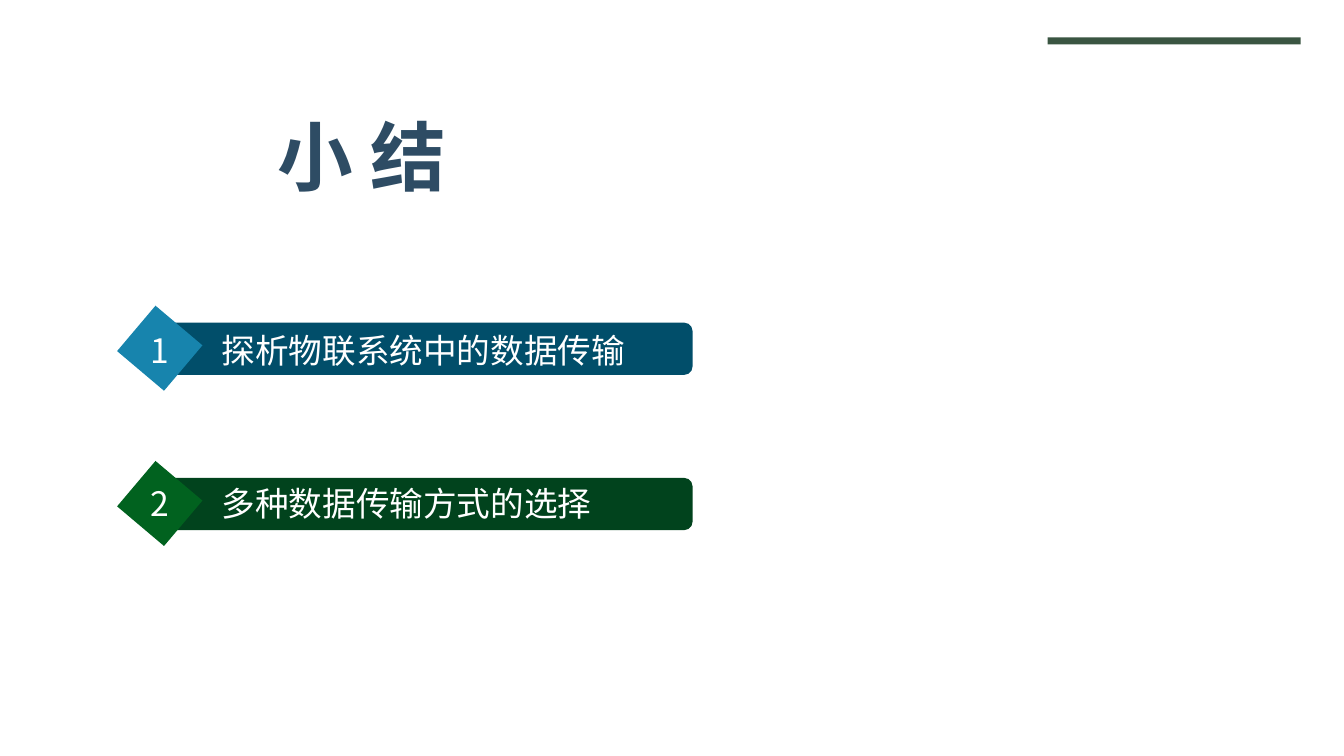
from lxml import etree
from pptx import Presentation
from pptx import util as u
from pptx.dml.color import RGBColor
from pptx.enum import shapes, text
from pptx.oxml.ns import qn

WIDTH, HEIGHT = 13.33, 7.5
FONT = "Noto Sans CJK SC"
TITLE = "小 结"
# number, label, bar colour, diamond colour, label offset from the bar top
ITEMS = [
    ("1", "探析物联系统中的数据传输", "014E6A", "1784AD", 0.02),
    ("2", "多种数据传输方式的选择", "01431D", "01621F", 0),
]
FIRST_ROW, ROW_STEP = 3.2, 1.54
LABEL_TAB = 0.71
TITLE_FORMAT = {"size": u.Pt(54), "bold": True}
LABEL_FORMAT = {"size": u.Pt(24)}


def color(value):
    return RGBColor.from_string(value)


def add_block(parent, kind, bounds, fill, rotation=0):
    block = parent.shapes.add_shape(kind, *map(u.Inches, bounds))
    block.shadow.inherit = False
    block.fill.solid()
    block.fill.fore_color.rgb = color(fill)
    block.line.fill.background()
    block.rotation = rotation


def add_text(parent, bounds, words, anchor, ink, formats, tab=None):
    """Add a one-paragraph text box, with an optional tab stop in inches."""
    box = parent.shapes.add_textbox(*map(u.Inches, bounds))
    frame = box.text_frame
    frame.word_wrap = True
    frame.vertical_anchor = anchor
    para = frame.paragraphs[0]
    if tab:
        stops = etree.SubElement(para._p.get_or_add_pPr(), qn("a:tabLst"))
        etree.SubElement(stops, qn("a:tab"), pos=str(u.Inches(tab)), algn="l")
    span = para.add_run()
    span.text = words
    for name, value in formats.items():
        setattr(span.font, name, value)
    span.font.color.rgb = color(ink)
    span.font.name = FONT
    etree.SubElement(span._r.get_or_add_rPr(), qn("a:ea"), typeface=FONT)
    return para


def add_item(page, top, number, label, bar_fill, diamond_fill, offset):
    group = page.shapes.add_group_shape()
    kinds = shapes.MSO_SHAPE
    add_block(group, kinds.ROUNDED_RECTANGLE, (1.5, top, 5.37, 0.52), bar_fill)
    add_block(group, kinds.RECTANGLE, (1.29, top - 0.05, 0.59, 0.61),
              diamond_fill, 310.2)
    add_text(group, (1.39, top + offset, 5.16, 0.5), f"{number}\t{label}",
             text.MSO_ANCHOR.MIDDLE, "FFFFFF", LABEL_FORMAT, LABEL_TAB)


def main():
    deck = Presentation()
    deck.slide_width, deck.slide_height = u.Inches(WIDTH), u.Inches(HEIGHT)
    page = deck.slides.add_slide(deck.slide_layouts[6])
    add_block(page, shapes.MSO_SHAPE.RECTANGLE, (10.39, 0.37, 2.51, 0.07), "3A5542")
    title = add_text(page, (0.52, 1.1, 6.14, 0.95), TITLE,
                     text.MSO_ANCHOR.BOTTOM, "2E4C64", TITLE_FORMAT)
    title.alignment = text.PP_ALIGN.CENTER
    title.line_spacing = 0.9
    for row, item in enumerate(ITEMS):
        add_item(page, FIRST_ROW + row * ROW_STEP, *item)
    deck.save("out.pptx")


if __name__ == "__main__":
    main()
